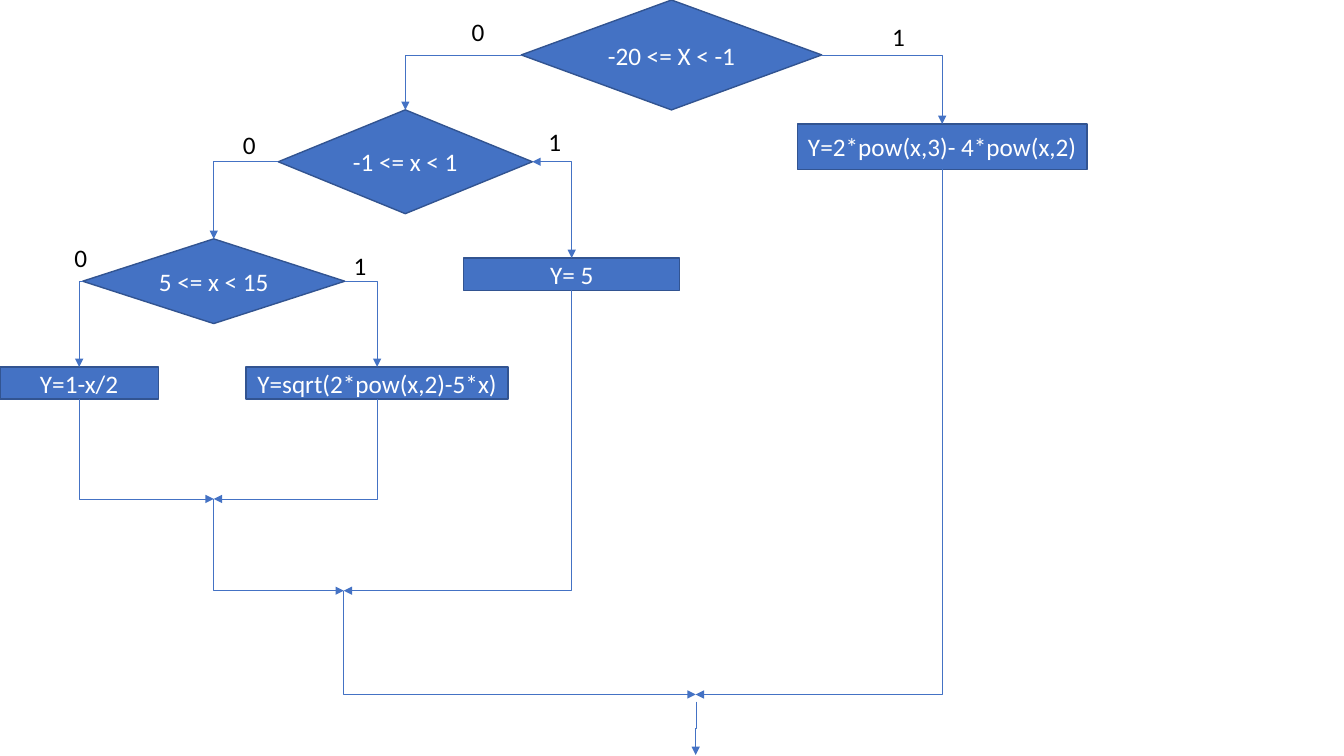
from lxml.etree import SubElement
from pptx import Presentation
from pptx.dml.color import RGBColor
from pptx.enum.shapes import MSO_CONNECTOR, MSO_SHAPE
from pptx.enum.text import MSO_ANCHOR, MSO_AUTO_SIZE, PP_ALIGN
from pptx.oxml.ns import qn
from pptx.util import Inches, Pt

COLORS = {"fill": "4472C4", "outline": "325491", "node_text": "FFFFFF", "label": "000000"}
FONT = "Calibri"
FONT_SIZE = 18
TOP, LEFT, BOTTOM, RIGHT = range(4)

DECISIONS = {
    "outer": ("-20 <= X < -1", 5.17, 0, 2.98, 1.09),
    "middle": ("-1 <= x < 1", 2.76, 1.09, 2.52, 1.03),
    "inner": ("5 <= x < 15", 0.82, 2.37, 2.6, 0.84),
}
FORMULAS = {
    "linear": ("Y=1-x/2", 0, 3.64, 1.57, 0.32),
    "root": ("Y=sqrt(2*pow(x,2)-5*x)", 2.44, 3.64, 2.6, 0.32),
    "constant": ("Y= 5", 4.6, 2.56, 2.14, 0.32),
    "cubic": ("Y=2*pow(x,3)- 4*pow(x,2)", 7.91, 1.23, 2.87, 0.45),
}
BRANCHES = [
    ("outer", LEFT, "middle", False),
    ("middle", LEFT, "inner", False),
    ("inner", LEFT, "linear", False),
    ("inner", RIGHT, "root", False),
    ("middle", RIGHT, "constant", True),
    ("outer", RIGHT, "cubic", False),
]
JOINS = {"first": (2.12, 4.95), "second": (3.41, 5.86), "last": (6.9, 6.89)}
MERGES = [
    ("linear", "first"), ("root", "first"),
    ("first", "second"), ("constant", "second"),
    ("cubic", "last"), ("first_two", "last"),
]
MERGES[-1] = ("second", "last")
EXIT = ((6.91, 6.96), (6.9, 7.49))
LABELS = [
    ("1", 8.75, 0.16), ("1", 5.34, 1.2), ("1", 3.41, 2.43),
    ("0", 4.58, 0.11), ("0", 2.31, 1.23), ("0", 0.64, 2.36),
]

presentation = Presentation()
presentation.slide_width = Inches(13.33)
presentation.slide_height = Inches(7.5)
slide = presentation.slides.add_slide(presentation.slide_layouts[6])


def color(name):
    return RGBColor.from_string(COLORS[name])


def write(shape, text, color_name, alignment):
    paragraph = shape.text_frame.paragraphs[0]
    paragraph.text = text
    paragraph.alignment = alignment
    paragraph.font.name = FONT
    paragraph.font.size = Pt(FONT_SIZE)
    paragraph.font.color.rgb = color(color_name)


def add_node(preset, text, *box):
    shape = slide.shapes.add_shape(preset, *map(Inches, box))
    shape.shadow.inherit = False
    shape.fill.solid()
    shape.fill.fore_color.rgb = color("fill")
    shape.line.color.rgb = color("outline")
    shape.line.width = Pt(1)
    frame = shape.text_frame
    frame.word_wrap = True
    frame.vertical_anchor = MSO_ANCHOR.MIDDLE
    frame.margin_left = frame.margin_right = Inches(0.05)
    write(shape, text, "node_text", PP_ALIGN.CENTER)
    return shape


def add_arrow(start=(0, 0), end=(0, 0), both_ends=False):
    connector = slide.shapes.add_connector(MSO_CONNECTOR.ELBOW, *map(Inches, start + end))
    connector.line.color.rgb = color("fill")
    connector.line.width = Pt(0.5)
    line = connector.line._get_or_add_ln()
    for tag in ("a:headEnd", "a:tailEnd")[0 if both_ends else 1:]:
        SubElement(line, qn(tag), type="triangle")
    SubElement(connector._element.spPr, qn("a:effectLst"))
    return connector


def bend(connector, vertical_first, preset="bentConnector2"):
    begin_x, begin_y = connector.begin_x, connector.begin_y
    end_x, end_y = connector.end_x, connector.end_y
    width, height = abs(end_x - begin_x), abs(end_y - begin_y)
    leftward = end_x < begin_x
    if vertical_first:
        width, height = height, width
        rotation, flip = (90, None) if leftward else (270, "flipH")
    else:
        rotation, flip = (180, "flipV") if leftward else (0, None)
    connector.left = (begin_x + end_x - width) // 2
    connector.top = (begin_y + end_y - height) // 2
    connector.width, connector.height = width, height
    properties = connector._element.spPr
    transform = properties.find(qn("a:xfrm"))
    for name in ("flipH", "flipV"):
        transform.set(name, "1" if name == flip else "0")
    transform.set("rot", str(rotation * 60000))
    properties.find(qn("a:prstGeom")).set("prst", preset)


nodes = {}
for preset, group in ((MSO_SHAPE.FLOWCHART_DECISION, DECISIONS), (MSO_SHAPE.RECTANGLE, FORMULAS)):
    for name, details in group.items():
        nodes[name] = add_node(preset, *details)

for source, side, target, both_ends in BRANCHES:
    connector = add_arrow(both_ends=both_ends)
    connector.begin_connect(nodes[source], side)
    connector.end_connect(nodes[target], TOP)
    bend(connector, vertical_first=False)

for source, join in MERGES:
    connector = add_arrow(JOINS.get(source, (0, 0)), JOINS[join])
    if source in nodes:
        connector.begin_connect(nodes[source], BOTTOM)
    bend(connector, vertical_first=True)

bend(add_arrow(*EXIT), vertical_first=True, preset="bentConnector3")

for text, left, top in LABELS:
    label = slide.shapes.add_textbox(Inches(left), Inches(top), Inches(0.33), Inches(0.4))
    label.text_frame.word_wrap = False
    label.text_frame.auto_size = MSO_AUTO_SIZE.SHAPE_TO_FIT_TEXT
    write(label, text, "label", PP_ALIGN.LEFT)

presentation.save("out.pptx")
